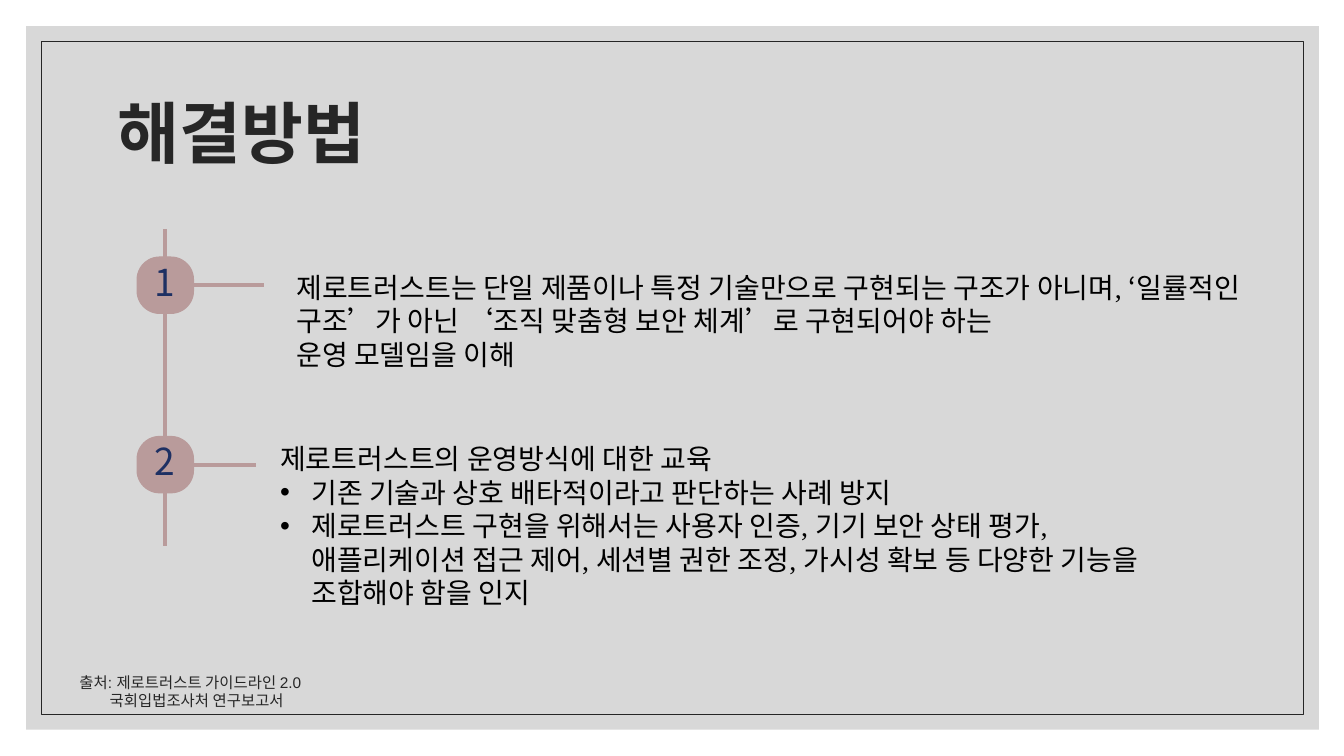
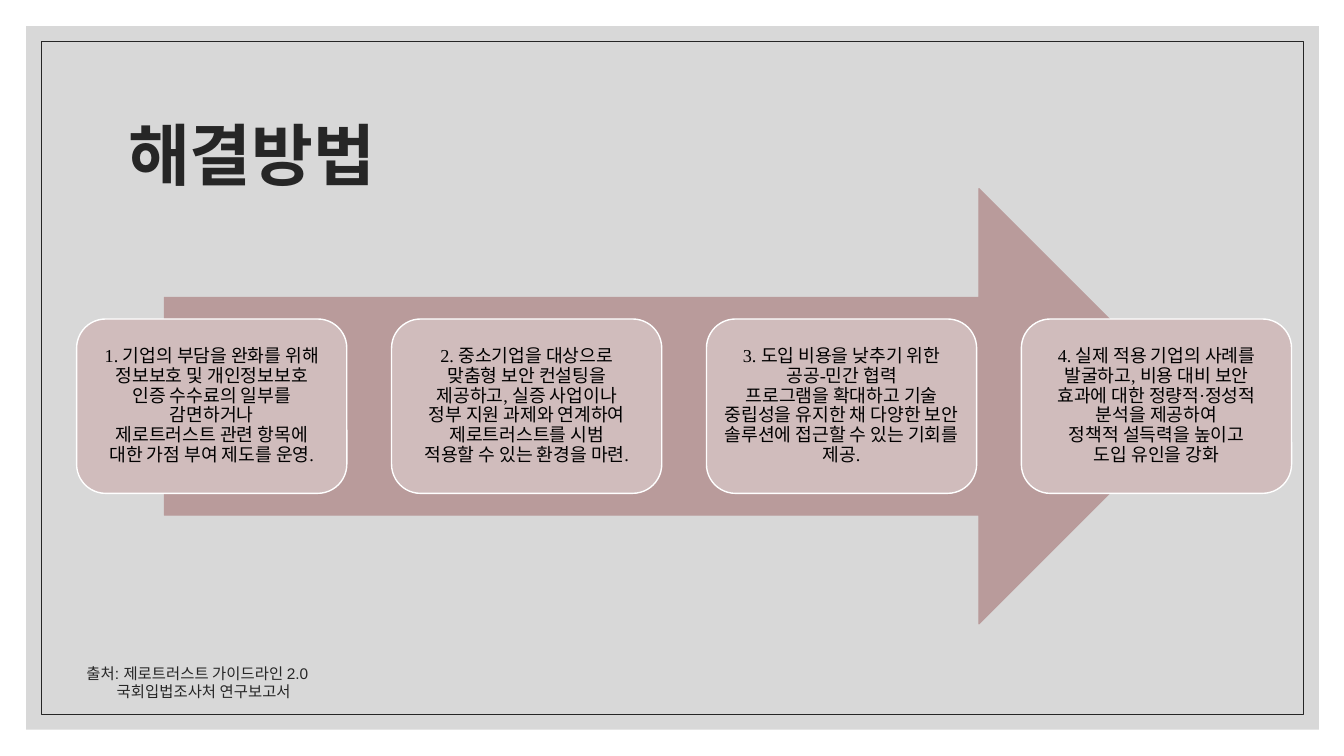
from lxml import etree
from pptx import Presentation
from pptx.dml.color import RGBColor
from pptx.enum.shapes import MSO_CONNECTOR as Connector, MSO_SHAPE as Shape
from pptx.enum.text import MSO_ANCHOR as Anchor, PP_ALIGN as Align
from pptx.oxml.ns import qn
from pptx.util import Inches, Pt

BLACK = RGBColor(0x00, 0x00, 0x00)
WHITE = RGBColor(0xFF, 0xFF, 0xFF)
INK = RGBColor(0x26, 0x26, 0x26)
PANEL = RGBColor(0xBF, 0xBF, 0xBF)
ROSE = RGBColor(0xB9, 0x9B, 0x9B)
PALE_ROSE = RGBColor(0xD0, 0xBC, 0xBC)
NAVY = RGBColor(0x1E, 0x30, 0x63)

TITLE = {"name": "Arial", "size": Pt(48), "bold": True, "color": INK}
SOURCE = {"name": "Arial", "size": Pt(11), "color": INK}
NUMBER = {"name": "Noto Sans CJK KR", "size": Pt(26.5), "color": NAVY}
BODY = {"name": "Times New Roman", "size": Pt(20), "color": BLACK}
QUOTE = BODY | {"name": "Noto Sans CJK KR"}
CARD = BODY | {"size": Pt(13)}

TITLE_TEXT = "해결방법"
SOURCE_LINES = ["출처: 제로트러스트 가이드라인 2.0", "국회입법조사처 연구보고서"]
MODEL_PARAGRAPHS = [
    [("제로트러스트는 단일 제품이나 특정 기술만으로 구현되는 구조가 아니며, ", BODY),
     ("‘", QUOTE),
     ("일률적인 구조’가 아닌 ‘조직 맞춤형 보안 체계’로 구현되어야 하는", BODY)],
    [("운영 모델임을 이해", BODY)],
]
TRAINING_HEADING = "제로트러스트의 운영방식에 대한 교육"
TRAINING_POINTS = [
    "기존 기술과 상호 배타적이라고 판단하는 사례 방지",
    "제로트러스트 구현을 위해서는 사용자 인증, 기기 보안 상태 평가, "
    "애플리케이션 접근 제어, 세션별 권한 조정, 가시성 확보 등 다양한 "
    "기능을 조합해야 함을 인지",
]
CARDS = [
    ["1. 기업의 부담을 완화를 위해", "정보보호 및 개인정보보호", "인증 수수료의 일부를",
     "감면하거나", "제로트러스트 관련 항목에", "대한 가점 부여 제도를 운영."],
    ["2. 중소기업을 대상으로", "맞춤형 보안 컨설팅을", "제공하고, 실증 사업이나",
     "정부 지원 과제와 연계하여", "제로트러스트를 시범", "적용할 수 있는 환경을 마련."],
    ["3. 도입 비용을 낮추기 위한", "공공-민간 협력", "프로그램을 확대하고 기술",
     "중립성을 유지한 채 다양한 보안", "솔루션에 접근할 수 있는 기회를", "제공."],
    ["4. 실제 적용 기업의 사례를", "발굴하고, 비용 대비 보안", "효과에 대한 정량적·정성적",
     "분석을 제공하여", "정책적 설득력을 높이고", "도입 유인을 강화"],
]


def add_run(paragraph, text, style):
    run = paragraph.add_run()
    run.text = text
    for key, value in style.items():
        if key == "color":
            run.font.color.rgb = value
        else:
            setattr(run.font, key, value)


def next_paragraph(frame):
    """Return the unused first paragraph, or a new one."""
    first = frame.paragraphs[0]
    return frame.add_paragraph() if first.runs else first


def set_margins(frame, margin):
    for side in ("left", "top", "right", "bottom"):
        setattr(frame, f"margin_{side}", Inches(margin))


def set_indent(paragraph, left, first=0, bullet=None):
    properties = paragraph._p.get_or_add_pPr()
    properties.set("marL", str(Inches(left)))
    properties.set("indent", str(Inches(first)))
    if bullet:
        font = etree.SubElement(properties, qn("a:buFont"))
        font.set("typeface", "Arial")
        etree.SubElement(properties, qn("a:buChar")).set("char", bullet)


def add_box(slide, kind, box, fill=None, line=None, width=0.75):
    shape = slide.shapes.add_shape(kind, *map(Inches, box))
    shape.shadow.inherit = False
    if fill is None:
        shape.fill.background()
    else:
        shape.fill.solid()
        shape.fill.fore_color.rgb = fill
    if line is None:
        shape.line.fill.background()
    else:
        shape.line.color.rgb = line
        shape.line.width = Pt(width)
    return shape


def add_text_frame(slide, box, anchor=Anchor.TOP):
    frame = slide.shapes.add_textbox(*map(Inches, box)).text_frame
    frame.word_wrap = True
    frame.vertical_anchor = anchor
    return frame


def add_line(slide, x1, y1, x2, y2):
    line = slide.shapes.add_connector(Connector.STRAIGHT, *map(Inches, (x1, y1, x2, y2)))
    line.line.color.rgb = ROSE
    line.line.width = Pt(3)
    etree.SubElement(line.element.spPr, qn("a:effectLst"))
    return line


def move_frame_to_layout(slide):
    """Draw the grey panel and thin border, and share them through the layout."""
    panel = add_box(slide, Shape.RECTANGLE, (0.26, 0.26, 12.82, 6.98), fill=PANEL)
    color = panel.element.spPr.find(f"{qn('a:solidFill')}/{qn('a:srgbClr')}")
    etree.SubElement(color, qn("a:alpha")).set("val", "60000")
    border = add_box(slide, Shape.RECTANGLE, (0.41, 0.41, 12.52, 6.68), line=INK, width=0.5)
    for position, shape in enumerate((panel, border), start=2):
        slide.slide_layout.shapes.element.insert(position, shape.element)


def set_title(slide, box):
    title = slide.shapes.title
    title.left, title.top, title.width, title.height = map(Inches, box)
    frame = title.text_frame
    frame.vertical_anchor = Anchor.MIDDLE
    paragraph = frame.paragraphs[0]
    paragraph.alignment = Align.LEFT
    paragraph.line_spacing = 0.9
    add_run(paragraph, TITLE_TEXT, TITLE)


def add_source(slide, left, top):
    frame = add_text_frame(slide, (left, top, 6.36, 0.4), Anchor.BOTTOM)
    for indent, text in zip((0, 0.3), SOURCE_LINES):
        paragraph = next_paragraph(frame)
        set_indent(paragraph, indent)
        add_run(paragraph, text, SOURCE)


def add_step(slide, number, left, top, branch_end):
    """Numbered badge with a branch running to the right."""
    size = 0.56
    badge = add_box(slide, Shape.ROUNDED_RECTANGLE, (left, top, size, size), ROSE, ROSE)
    badge.adjustments[0] = 0.4
    frame = badge.text_frame
    set_margins(frame, 0)
    frame.vertical_anchor = Anchor.MIDDLE
    paragraph = frame.paragraphs[0]
    paragraph.alignment = Align.CENTER
    paragraph.line_spacing = Pt(26.5)
    add_run(paragraph, str(number), NUMBER)
    middle = top + size / 2
    add_line(slide, left + size, middle, branch_end, middle).begin_connect(badge, 3)


def add_timeline(slide, left, top, height):
    add_line(slide, left + 0.28, top, left + 0.28, top + height)
    add_step(slide, 1, left, top + 0.28, left + 1.26)
    add_step(slide, 2, left, top + 2.06, left + 1.18)


def add_model_text(slide, box):
    frame = add_text_frame(slide, box)
    for runs in MODEL_PARAGRAPHS:
        paragraph = next_paragraph(frame)
        for text, style in runs:
            add_run(paragraph, text, style)


def add_training_text(slide, box):
    frame = add_text_frame(slide, box)
    add_run(next_paragraph(frame), TRAINING_HEADING, BODY)
    for text in TRAINING_POINTS:
        paragraph = next_paragraph(frame)
        set_indent(paragraph, 0.31, -0.31, "•")
        add_run(paragraph, text, BODY)


def add_card(slide, box, lines):
    card = add_box(slide, Shape.ROUNDED_RECTANGLE, box, PALE_ROSE, WHITE, 1)
    frame = card.text_frame
    frame.word_wrap = True
    frame.vertical_anchor = Anchor.MIDDLE
    set_margins(frame, 0.05)
    paragraph = frame.paragraphs[0]
    paragraph.alignment = Align.CENTER
    paragraph.line_spacing = 0.9
    for index, text in enumerate(lines):
        if index:
            paragraph.add_line_break()
        add_run(paragraph, text, CARD)


def add_process(slide, left, top, width, height):
    """Large arrow with a row of evenly spaced cards across it."""
    add_box(slide, Shape.RIGHT_ARROW, (left + 0.87, top, 10.24, height), ROSE, ROSE)
    card_width, card_height = 2.68, 1.73
    pitch = (width - card_width) / (len(CARDS) - 1)
    card_top = top + (height - card_height) / 2
    for index, lines in enumerate(CARDS):
        add_card(slide, (left + index * pitch, card_top, card_width, card_height), lines)


def build_timeline_slide(slide):
    set_title(slide, (1.07, 0.61, 11, 1.5))
    add_source(slide, 0.69, 6.69)
    add_timeline(slide, 1.36, 2.27, 3.15)
    add_training_text(slide, (2.68, 4.33, 9.02, 2.12))
    add_model_text(slide, (2.84, 2.63, 9.7, 1.11))


def build_process_slide(slide):
    set_title(slide, (1.17, 0.63, 11, 1.89))
    add_source(slide, 0.76, 6.6)
    add_process(slide, 0.76, 1.87, 12.05, 4.32)


def main():
    presentation = Presentation()
    presentation.slide_width = Inches(13.33)
    presentation.slide_height = Inches(7.5)
    title_only = presentation.slide_layouts[5]
    slides = [presentation.slides.add_slide(title_only) for _ in range(2)]
    move_frame_to_layout(slides[0])
    for build, slide in zip((build_timeline_slide, build_process_slide), slides):
        build(slide)
    presentation.save("out.pptx")


if __name__ == "__main__":
    main()
